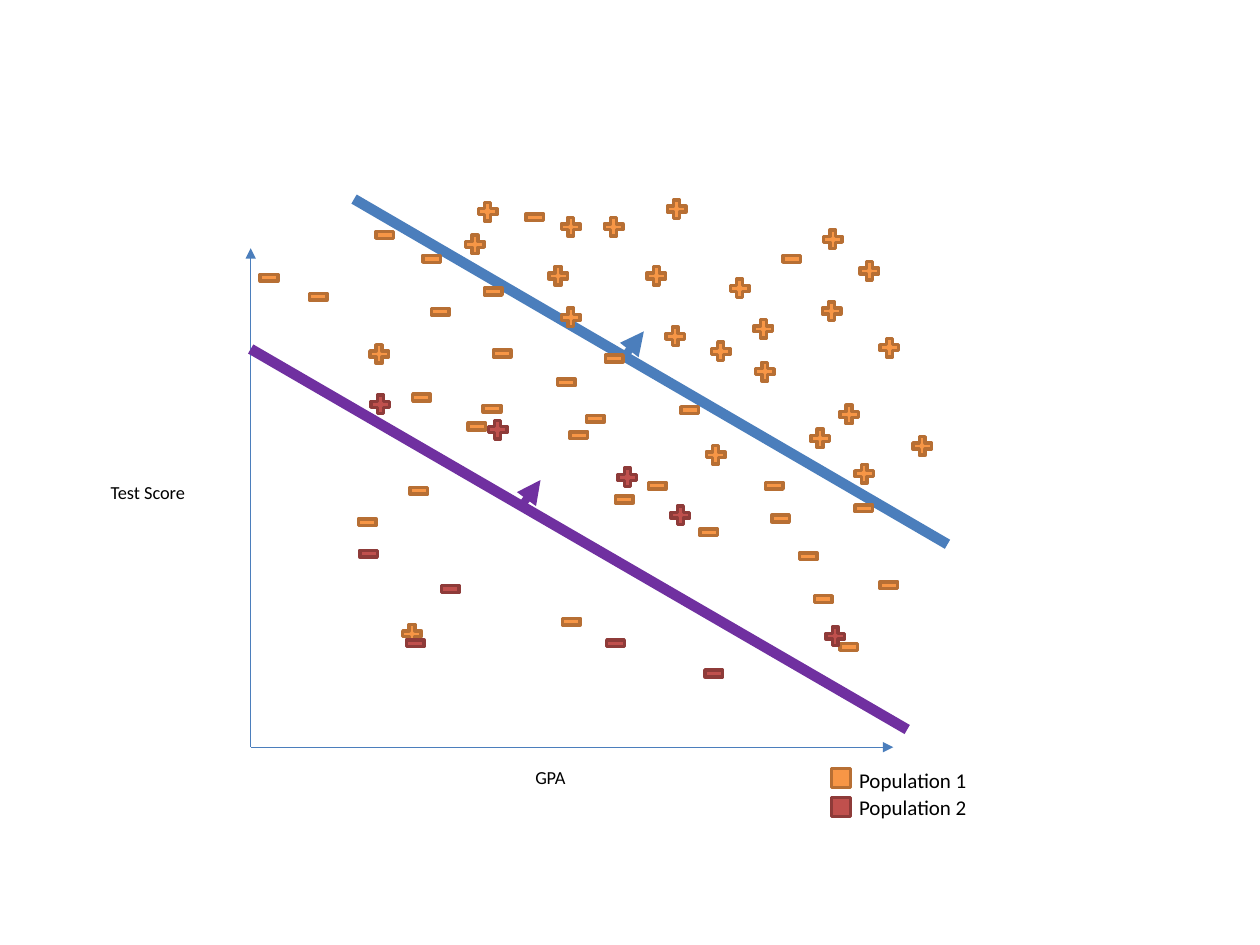
from dataclasses import dataclass

from lxml import etree
from pptx import Presentation
from pptx.dml.color import RGBColor
from pptx.enum.shapes import MSO_CONNECTOR, MSO_SHAPE
from pptx.enum.text import MSO_AUTO_SIZE
from pptx.oxml.ns import qn
from pptx.util import Inches, Pt

LINE = MSO_CONNECTOR.STRAIGHT
PLUS, MINUS, SQUARE = MSO_SHAPE.MATH_PLUS, MSO_SHAPE.MATH_MINUS, MSO_SHAPE.RECTANGLE
FIT = MSO_AUTO_SIZE.SHAPE_TO_FIT_TEXT
SIZES = {PLUS: (0.2, 0.2), MINUS: (0.19, 0.23), SQUARE: (0.15, 0.15)}


@dataclass(frozen=True)
class Theme:
    """Colours, font and type sizes of the slide."""
    font: str = "Calibri"
    label: float = 10.5
    legend: float = 12
    text: str = "000000"
    blue: str = "4B7EBC"
    purple: str = "7030A0"
    first: tuple = ("F79646", "B76F34")
    second: tuple = ("C0504D", "8E3B39")


class Plot:
    """Draws scatter marks, lines and labels on one slide."""

    def __init__(self, slide, theme):
        self.slide = slide
        self.theme = theme

    def line(self, shapes, start, end, color, width, arrow=False):
        """Add a straight line, with an arrowhead at its end if asked."""
        link = shapes.add_connector(LINE, *map(Inches, start + end))
        link.line.color.rgb = RGBColor.from_string(color)
        link.line.width = Pt(width)
        if arrow:
            etree.SubElement(link.line._get_or_add_ln(), qn("a:tailEnd"), type="triangle")
        etree.SubElement(link._element.spPr, qn("a:effectLst"))

    def border(self, start, end, foot, tip, color):
        """Add a decision border grouped with the arrow to its positive side."""
        shapes = self.slide.shapes.add_group_shape().shapes
        self.line(shapes, start, end, color, 6)
        self.line(shapes, foot, tip, color, 4.5, arrow=True)

    def marks(self, kind, colors, points):
        """Add one mark of a kind at each point."""
        fill, edge = map(RGBColor.from_string, colors)
        for point in points:
            mark = self.slide.shapes.add_shape(kind, *map(Inches, point + SIZES[kind]))
            mark.shadow.inherit = False
            mark.fill.solid()
            mark.fill.fore_color.rgb = fill
            mark.line.color.rgb = edge
            mark.line.width = Pt(2)

    def label(self, text, left, top, width, height, size):
        """Add a one-line label."""
        box = self.slide.shapes.add_textbox(*map(Inches, (left, top, width, height)))
        frame = box.text_frame
        for name, value in {"text": text, "word_wrap": False, "auto_size": FIT}.items():
            setattr(frame, name, value)
        font = frame.paragraphs[0].runs[0].font
        for name, value in {"name": self.theme.font, "size": Pt(size)}.items():
            setattr(font, name, value)
        font.color.rgb = RGBColor.from_string(self.theme.text)


PLUS_1 = [
    (6.64, 3.19), (5.77, 2.19), (5.58, 3.51), (4.33, 2.09), (3.77, 1.58), (6.76, 3.66),
    (5.27, 1.56), (4.43, 2.42), (3.17, 4.93), (6.8, 2.05), (5.11, 2.09), (5.97, 2.85),
    (6.96, 2.66), (4.43, 1.7), (5.62, 2.69), (6.41, 3.38), (3.67, 1.84), (6.51, 1.8),
    (2.91, 2.71), (6.5, 2.37), (4.77, 1.7), (5.26, 2.57), (7.22, 3.44), (5.96, 2.51),
]
MINUS_1 = [
    (2.04, 2.09), (6.76, 3.92), (3.4, 2.36), (3.82, 2.2), (6.19, 1.94), (4.15, 1.61),
    (5.12, 3.74), (4.63, 3.21), (3.89, 2.69), (5.38, 3.14), (3.33, 1.94), (6.32, 4.3),
    (3.81, 3.13), (4.44, 4.82), (3.69, 3.27), (6.64, 5.02), (2.82, 4.03), (4.78, 2.73),
    (5.53, 4.11), (4.4, 2.92), (6.1, 4), (6.96, 4.53), (2.96, 1.75), (3.23, 3.78),
    (4.86, 3.85), (4.5, 3.34), (6.44, 4.64), (3.25, 3.04), (2.43, 2.24), (6.05, 3.74),
]
PLUS_2 = [(6.53, 4.95), (5.3, 3.99), (3.85, 3.31), (2.92, 3.11), (4.88, 3.69)]
MINUS_2 = [(5.57, 5.23), (4.79, 4.99), (3.48, 4.56), (3.2, 4.99), (2.83, 4.28)]


def main():
    deck = Presentation()
    deck.slide_width, deck.slide_height = Inches(10), Inches(7.5)
    slide = deck.slides.add_slide(deck.slide_layouts[6])
    theme = Theme()
    plot = Plot(slide, theme)

    for end in ((1.99, 1.97), (7.09, 5.93)):
        plot.line(slide.shapes, (1.99, 5.93), end, theme.blue, 0.75, arrow=True)

    legend = (("Population 1", theme.first, 6.1, 6.04), ("Population 2", theme.second, 6.33, 6.26))
    for text, colors, key_top, top in legend:
        plot.marks(SQUARE, colors, [(6.6, key_top)])
        plot.label(text, 6.72, top, 1.06, 0.3, theme.legend)

    plot.border((7.52, 4.32), (2.81, 1.58), (4.97, 2.81), (5.11, 2.63), theme.blue)
    plot.marks(PLUS, theme.first, PLUS_1)
    plot.marks(MINUS, theme.first, MINUS_1)
    plot.marks(PLUS, theme.second, PLUS_2)
    plot.marks(MINUS, theme.second, MINUS_2)
    plot.border((7.2, 5.79), (1.99, 2.77), (4.15, 4), (4.29, 3.81), theme.purple)

    plot.label("Test Score", 0.78, 3.77, 0.79, 0.28, theme.label)
    plot.label("GPA", 4.15, 6.03, 0.46, 0.28, theme.label)
    deck.save("out.pptx")


if __name__ == "__main__":
    main()
